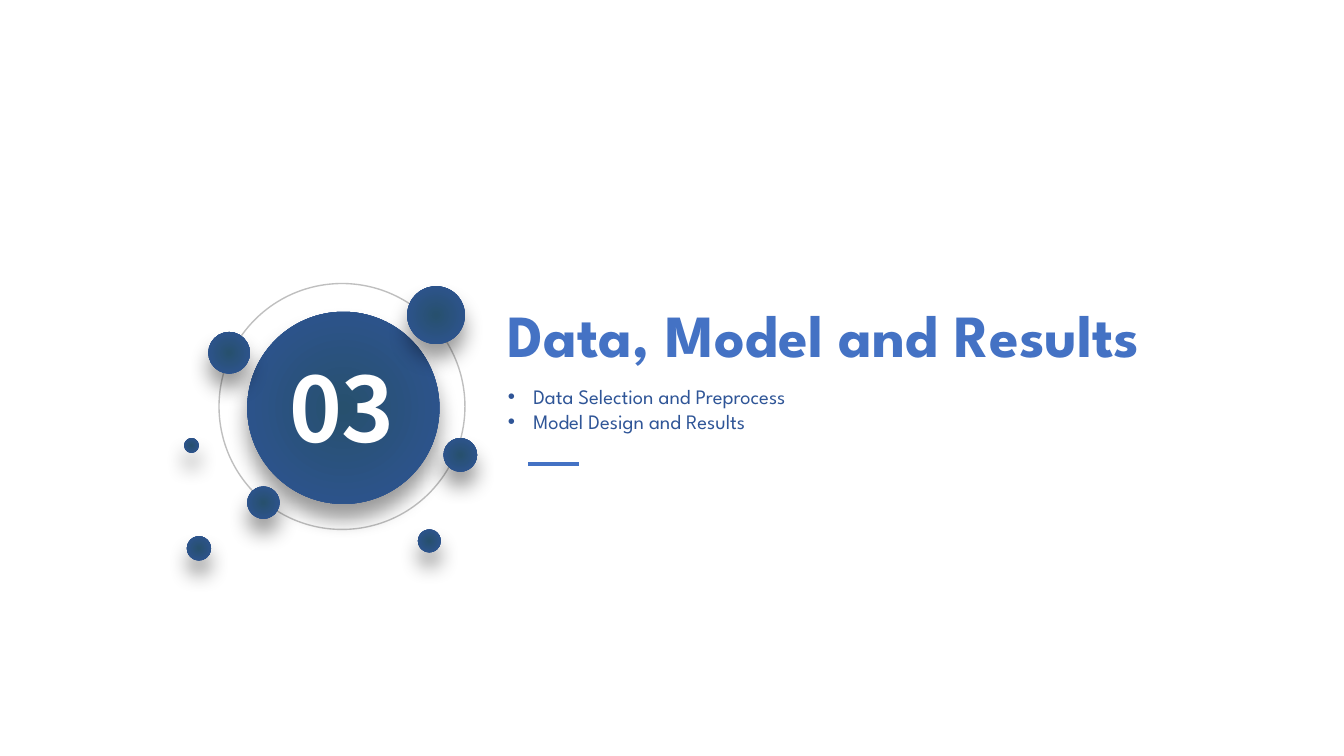
from dataclasses import dataclass

from lxml import etree
from pptx import Presentation
from pptx.dml.color import RGBColor
from pptx.enum.shapes import MSO_CONNECTOR, MSO_SHAPE
from pptx.enum.text import MSO_AUTO_SIZE, PP_ALIGN
from pptx.oxml.ns import qn
from pptx.util import Inches, Pt

OVAL = MSO_SHAPE.OVAL
STRAIGHT = MSO_CONNECTOR.STRAIGHT
FIT_SHAPE = MSO_AUTO_SIZE.SHAPE_TO_FIT_TEXT
LEFT, CENTER = PP_ALIGN.LEFT, PP_ALIGN.CENTER

# Widescreen slide on a square grid of 100 columns
SLIDE_WIDTH = Inches(10)
SLIDE_HEIGHT = SLIDE_WIDTH * 9 // 16
CELL = SLIDE_WIDTH / 100


@dataclass(frozen=True)
class Theme:
    core: str = "27506E"
    rim: str = "2F5597"
    accent: str = "4472C4"
    orbit: str = "BFBFBF"
    light: str = "FFFFFF"
    shadow: str = "000000"
    heading_font: str = "League Spartan"
    number_font: str = "Noto Sans CJK SC"
    number_size: int = 48
    title_size: int = 32
    topic_size: int = 11
    orbit_width: float = 0.75
    rule_width: float = 2.25


THEME = Theme()

# Satellites around the section number: column, row, diameter
SATELLITES = [
    (30.3, 21.3, 4.3),
    (15.5, 24.7, 3.1),
    (13.9, 39.9, 1.8),
    (18.4, 36.2, 2.4),
    (33, 32.6, 2.5),
    (31.1, 39.4, 1.7),
    (13.7, 32.6, 1.1),
]
TOPICS = ["Data Selection and Preprocess", "Model Design and Results"]


def grid(*cells):
    return [round(cell * CELL) for cell in cells]


def color(value):
    return RGBColor.from_string(value)


def add_circle(slide, column, row, diameter):
    circle = slide.shapes.add_shape(OVAL, *grid(column, row, diameter, diameter))
    circle.shadow.inherit = False
    return circle


def add_orbit(slide, column, row, diameter):
    orbit = add_circle(slide, column, row, diameter)
    orbit.fill.background()
    orbit.line.color.rgb = color(THEME.orbit)
    orbit.line.width = Pt(THEME.orbit_width)


def add_planet(slide, column, row, diameter):
    planet = add_circle(slide, column, row, diameter)
    planet.line.fill.background()

    # Radial gradient from the core to the rim
    planet.fill.gradient()
    for stop, value in zip(planet.fill.gradient_stops, (THEME.core, THEME.rim)):
        stop.color.rgb = color(value)
    properties = planet._element.spPr
    gradient = properties.find(qn("a:gradFill"))
    gradient.remove(gradient.find(qn("a:lin")))
    radial = etree.SubElement(gradient, qn("a:path"), path="circle")
    etree.SubElement(radial, qn("a:fillToRect"),
                     {side: "50000" for side in "ltrb"})

    # Soft shadow straight below
    effects = properties.find(qn("a:effectLst"))
    shadow = etree.SubElement(
        effects, qn("a:outerShdw"), blurRad=str(Pt(11)), dist=str(Pt(8)),
        dir="5400000", algn="t", rotWithShape="0")
    tone = etree.SubElement(shadow, qn("a:srgbClr"), val=THEME.shadow)
    etree.SubElement(tone, qn("a:alpha"), val="40000")


def add_text(slide, box, lines, font_format, tint, align=LEFT, wrap=False):
    frame = slide.shapes.add_textbox(*grid(*box)).text_frame
    frame.word_wrap = wrap
    frame.auto_size = FIT_SHAPE
    frame.text = "\n".join(lines)
    for paragraph in frame.paragraphs:
        paragraph.alignment = align
        font = paragraph.runs[0].font
        for attribute, value in font_format.items():
            setattr(font, attribute, value)
        font.color.rgb = color(tint)
    return frame


def add_bullets(frame, indent):
    for paragraph in frame.paragraphs:
        properties = paragraph._p.get_or_add_pPr()
        properties.set("marL", str(indent))
        properties.set("indent", str(-indent))
        etree.SubElement(properties, qn("a:buFont"), typeface="Arial")
        etree.SubElement(properties, qn("a:buChar"), char="•")


def add_rule(slide, start, end, row):
    rule = slide.shapes.add_connector(STRAIGHT, *grid(start, row, end, row))
    rule.line.color.rgb = color(THEME.accent)
    rule.line.width = Pt(THEME.rule_width)
    etree.SubElement(rule._element.spPr, qn("a:effectLst"))


def main():
    deck = Presentation()
    deck.slide_width, deck.slide_height = SLIDE_WIDTH, SLIDE_HEIGHT
    slide = deck.slides.add_slide(deck.slide_layouts[6])

    # Section number inside its orbit
    add_orbit(slide, 16.3, 21.1, 18.3)
    add_planet(slide, 18.4, 23.2, 14.3)
    number_format = {"name": THEME.number_font, "size": Pt(THEME.number_size),
                     "bold": True}
    add_text(slide, (20.3, 25.8, 10.3, 9.1), ["03"], number_format,
             THEME.light, align=CENTER)

    # Section title and short rule
    title_format = {"name": THEME.heading_font, "size": Pt(THEME.title_size),
                    "bold": True}
    add_text(slide, (36.8, 21.7, 54.5, 6.4), ["Data, Model and Results"],
             title_format, THEME.accent)
    add_rule(slide, 39.3, 43.1, 34.5)

    # Satellites
    for satellite in SATELLITES:
        add_planet(slide, *satellite)

    # Topics of the section
    topic_format = {"name": THEME.heading_font, "size": Pt(THEME.topic_size)}
    topics = add_text(slide, (36.8, 28.1, 31.3, 4.7), TOPICS, topic_format,
                      THEME.rim, wrap=True)
    add_bullets(topics, Inches(0.19))

    deck.save("out.pptx")


if __name__ == "__main__":
    main()
